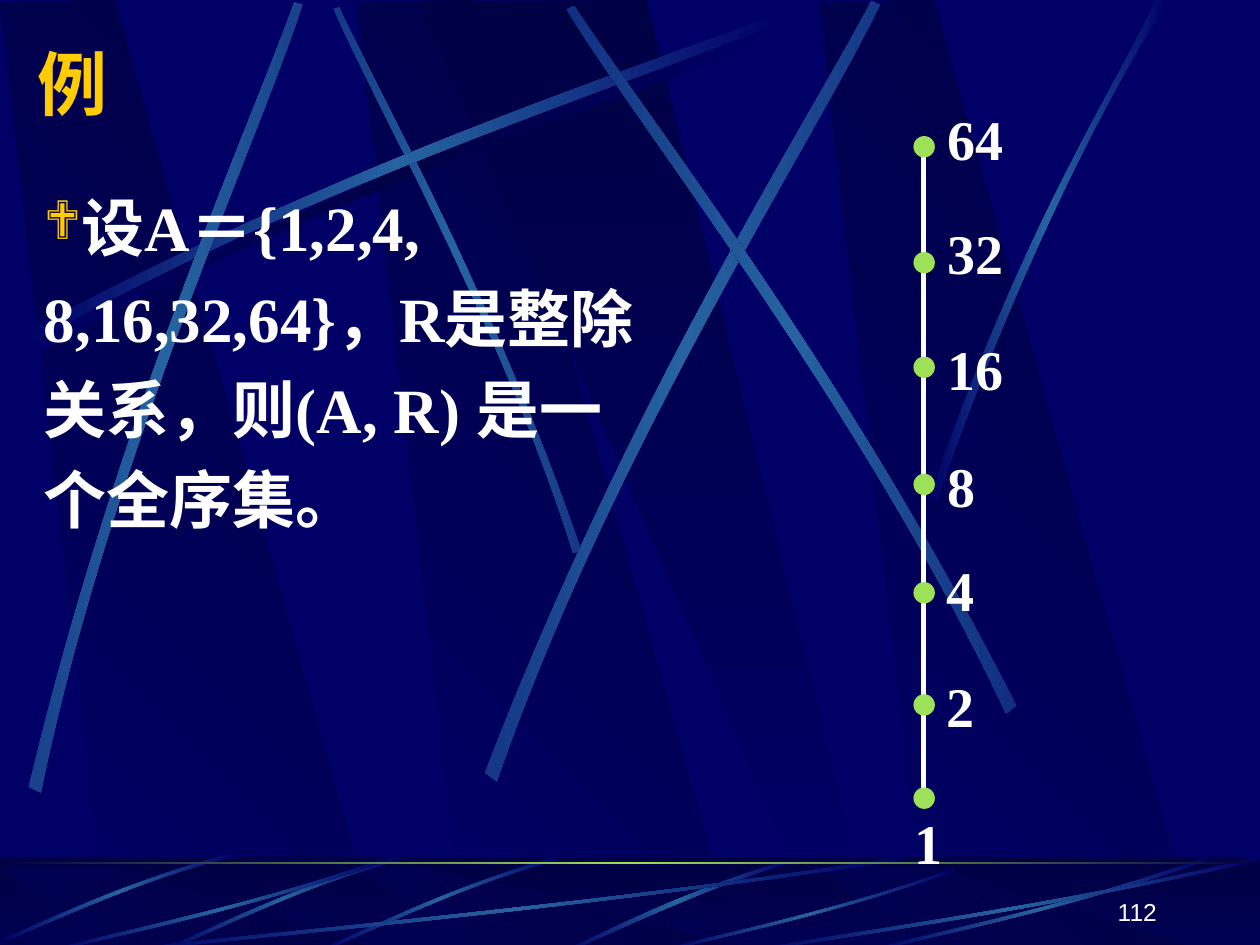
"""Build a slide that shows a totally ordered set and its Hasse diagram."""
from lxml import etree
from pptx import Presentation
from pptx.dml.color import RGBColor
from pptx.enum.shapes import MSO_CONNECTOR as CONN, MSO_SHAPE as SHAPE
from pptx.enum.text import MSO_ANCHOR as ANCHOR, PP_ALIGN as ALIGN
from pptx.oxml.ns import qn
from pptx.util import Inches, Pt

COLORS = {"navy": "000066", "dark": "000044", "beam": "2663A0",
          "green": "9CE157", "gold": "FFCC00", "white": "FFFFFF"}
SERIF, SANS, CJK = "Times New Roman", "Arial", "Noto Sans CJK SC"

PANEL = [(0.86, 7.5), (3.02, 7.52), (0.91, 0), (0, 0.02)]
WEDGE = [(0, 0.01), (3.25, 7.51), (3.61, 7.51), (1.8, 0)]
RIBBON = [(0, 2.57), (2.64, 1.15), (5.04, 0.41), (6.06, 0),
          (6.09, 0.06), (5.08, 0.51), (2.34, 1.33), (0.03, 2.67)]
CUT_TOP = [(0, 3.94), (0.76, 1.73), (1.5, 0.66), (1.79, 0),
           (1.89, 0), (0.98, 1.45), (0.31, 3.22), (0.06, 3.97)]
CUT_BOTTOM = [(1.79, 0), (0.89, 0.27), (0.29, 0.6), (0, 0.72),
              (0.05, 0.73), (0.42, 0.56), (1.23, 0.18), (1.8, 0.03)]
PANEL_LEFTS = [2.83, 0, 6.5]
BEAMS = [((1.41, 1.35, 4.42, 1.75), 45, True),
         ((0.14, 0.1, 6.08, 2.67), 0, False),
         ((-1.71, 1.82, 6.08, 2.67), 311.7, False),
         ((2.31, 1.6, 6.24, 3.01), 321.6, False),
         ((3.23, 1.52, 6.08, 2.67), 34.7, True)]
FLOOR_ARCS = [(2.58, 6.76, 1.84, 0.83), (1.33, 6.76, 1.84, 0.83),
              (0.04, 6.7, 1.8, 0.85)]
FLOOR_SWEEPS = [(1, 6.8, 6.17, 0.75), (0.42, 6.8, 2.67, 0.75),
                (5.27, 6.89, 2.31, 0.66), (6.92, 6.8, 2.67, 0.75),
                (6, 6.8, 4, 0.75)]
NODES = [("64", 1.08, 7.42, 0.67), ("32", 2, 7.42, 1.58),
         ("16", 2.83, 7.42, 2.5), ("8", 3.76, 7.42, 3.43),
         ("4", 4.62, 7.41, 4.25), ("2", 5.51, 7.41, 5.17),
         ("1", 6.25, 7.16, 6.26)]


def rgb(name):
    return RGBColor.from_string(COLORS[name])


def fill_gradient(sp, names, angle):
    """Spread the named colours evenly along the angle, without outline."""
    sp.shadow.inherit = False
    sp.line.fill.background()
    sp.fill.gradient()
    grad = sp._element.spPr.find(qn("a:gradFill"))
    for child in list(grad):
        grad.remove(child)
    grad.set("rotWithShape", "0")
    stops = etree.SubElement(grad, qn("a:gsLst"))
    for i, name in enumerate(names):
        pos = 100000 * i // (len(names) - 1)
        stop = etree.SubElement(stops, qn("a:gs"), pos=str(pos))
        etree.SubElement(stop, qn("a:srgbClr"), val=COLORS[name])
    etree.SubElement(grad, qn("a:lin"), ang=str(angle * 60000), scaled="0")


def fill_solid(sp, name):
    sp.shadow.inherit = False
    sp.line.fill.background()
    sp.fill.solid()
    sp.fill.fore_color.rgb = rgb(name)


def fit(points, box, flip_x=False, flip_y=False):
    """Scale points to fill the box, mirrored if asked."""
    left, top, width, height = box
    max_x, max_y = (max(axis) for axis in zip(*points))
    scaled = [(x / max_x, y / max_y) for x, y in points]
    return [(left + width * (1 - x if flip_x else x),
             top + height * (1 - y if flip_y else y)) for x, y in scaled]


def add_outline(s, points, names, angle):
    start, *rest = [(Inches(x), Inches(y)) for x, y in points]
    builder = s.shapes.build_freeform(*start)
    builder.add_line_segments(rest, close=True)
    sp = builder.convert_to_shape()
    fill_gradient(sp, names, angle)
    return sp


def bend(segments):
    """Join three line segments into one cubic Bezier segment."""
    cubic = etree.Element(qn("a:cubicBezTo"))
    segments[0].addprevious(cubic)
    for segment in segments:
        cubic.append(segment[0])
        segment.getparent().remove(segment)


def add_ribbon(s, points, box, rotation=0, flip_x=False, flip_y=False,
               middle="beam"):
    """Draw a band between two curves, given by four points each."""
    sp = add_outline(s, fit(points, box, flip_x, flip_y),
                     ["navy", middle, "navy"], 0)
    segments = list(sp._element.spPr.iter(qn("a:lnTo")))
    bend(segments[:3])
    bend(segments[4:7])
    sp.rotation = rotation


def add_panels(s, top, height):
    for left in PANEL_LEFTS:
        add_outline(s, fit(PANEL, (left, top, 3.02, height)),
                    ["navy", "dark"], 315)
    add_outline(s, fit(WEDGE, (3.33, top, 3.61, height)), ["dark", "navy"], 90)


def add_preset(s, kind, *box):
    return s.shapes.add_shape(kind, *map(Inches, box))


def add_backdrop(s):
    """Draw the panels and beams of the upper part."""
    add_panels(s, 0, 7.52)
    add_ribbon(s, RIBBON, (0.2, 0.18, 6.08, 2.67), middle="dark")
    for box, rotation, flip in BEAMS:
        add_ribbon(s, RIBBON, box, rotation, flip)
    add_ribbon(s, CUT_TOP, (7.38, 0, 1.89, 3.97))


def add_floor(s):
    """Draw the strip along the lower edge."""
    floor = (0, 6.8, 10, 0.75)
    fill_gradient(add_preset(s, SHAPE.RECTANGLE, *floor), ["dark", "navy"], 90)
    add_panels(s, 6.88, 0.66)
    veil = add_preset(s, SHAPE.RECTANGLE, *floor)
    fill_solid(veil, "dark")
    clr = veil._element.spPr.find(qn("a:solidFill"))[0]
    etree.SubElement(clr, qn("a:alpha"), val="50000")
    add_ribbon(s, CUT_BOTTOM, (4.48, 6.82, 1.8, 0.73))
    for box in FLOOR_ARCS:
        add_ribbon(s, RIBBON, box, 315, True)
    for box in FLOOR_SWEEPS:
        add_ribbon(s, RIBBON, box, flip_x=True, flip_y=True)
    fill_gradient(add_preset(s, SHAPE.RECTANGLE, 0, 6.84, 10, 0.02),
                  ["dark", "green", "dark"], 0)


def add_text(s, box, wrap=True, anchor=ANCHOR.TOP):
    """Add a text box and return its first paragraph."""
    tf = s.shapes.add_textbox(*map(Inches, box)).text_frame
    tf.word_wrap = wrap
    tf.vertical_anchor = anchor
    return tf.paragraphs[0]


def add_run(p, text, size, font, color="white", bold=True):
    r = p.add_run()
    r.text = text
    r.font.size = Pt(size)
    r.font.name = font
    r.font.bold = bold
    r.font.color.rgb = rgb(color)
    etree.SubElement(r._r.get_or_add_rPr(), qn("a:ea"), typeface=CJK)


def add_bullet(p, char, color, percent):
    pPr = p._p.get_or_add_pPr()
    pPr.set("marL", "0")
    pPr.set("indent", "0")
    clr = etree.SubElement(pPr, qn("a:buClr"))
    etree.SubElement(clr, qn("a:srgbClr"), val=COLORS[color])
    etree.SubElement(pPr, qn("a:buSzPct"), val=str(percent * 1000))
    etree.SubElement(pPr, qn("a:buFont"), typeface="Wingdings", charset="2")
    etree.SubElement(pPr, qn("a:buChar"), char=char)


def add_chain(s):
    """Draw the Hasse diagram: one line with a labelled dot per element."""
    line = s.shapes.add_connector(CONN.STRAIGHT, Inches(7.33), Inches(1.17),
                                  Inches(7.33), Inches(6.33))
    line.line.color.rgb = rgb("white")
    line.line.width = Pt(3)
    etree.SubElement(line._element.spPr, qn("a:effectLst"))
    for text, dot_top, left, top in NODES:
        fill_solid(add_preset(s, SHAPE.OVAL, 7.25, dot_top, 0.17, 0.17), "green")
        width = 0.42 if len(text) == 1 else 0.65
        p = add_text(s, (left, top, width, 0.74), wrap=False)
        p.line_spacing = 1.2
        add_run(p, text, 32, SERIF)


def main():
    prs = Presentation()
    prs.slide_width, prs.slide_height = Inches(10), Inches(7.5)
    s = prs.slides.add_slide(prs.slide_layouts[6])
    s.background.fill.solid()
    s.background.fill.fore_color.rgb = rgb("navy")
    add_backdrop(s)
    add_floor(s)
    p = add_text(s, (0.25, 1.33, 4.99, 5.67))
    add_bullet(p, "❖", "gold", 85)
    p.line_spacing = 1.2
    add_run(p, "设A＝{1,2,4, 8,16,32,64}，R是整除关系，则(A, R) ", 36, SERIF)
    add_run(p, "是一个全序集。", 36, CJK)
    add_chain(s)
    p = add_text(s, (7.2, 6.9, 2.08, 0.5), anchor=ANCHOR.BOTTOM)
    p.alignment = ALIGN.RIGHT
    add_run(p, "112", 14, SANS, bold=False)
    p = add_text(s, (0.2, 0.27, 8.5, 0.77), anchor=ANCHOR.MIDDLE)
    add_run(p, "例", 40, CJK, "gold")
    prs.save("out.pptx")


if __name__ == "__main__":
    main()
